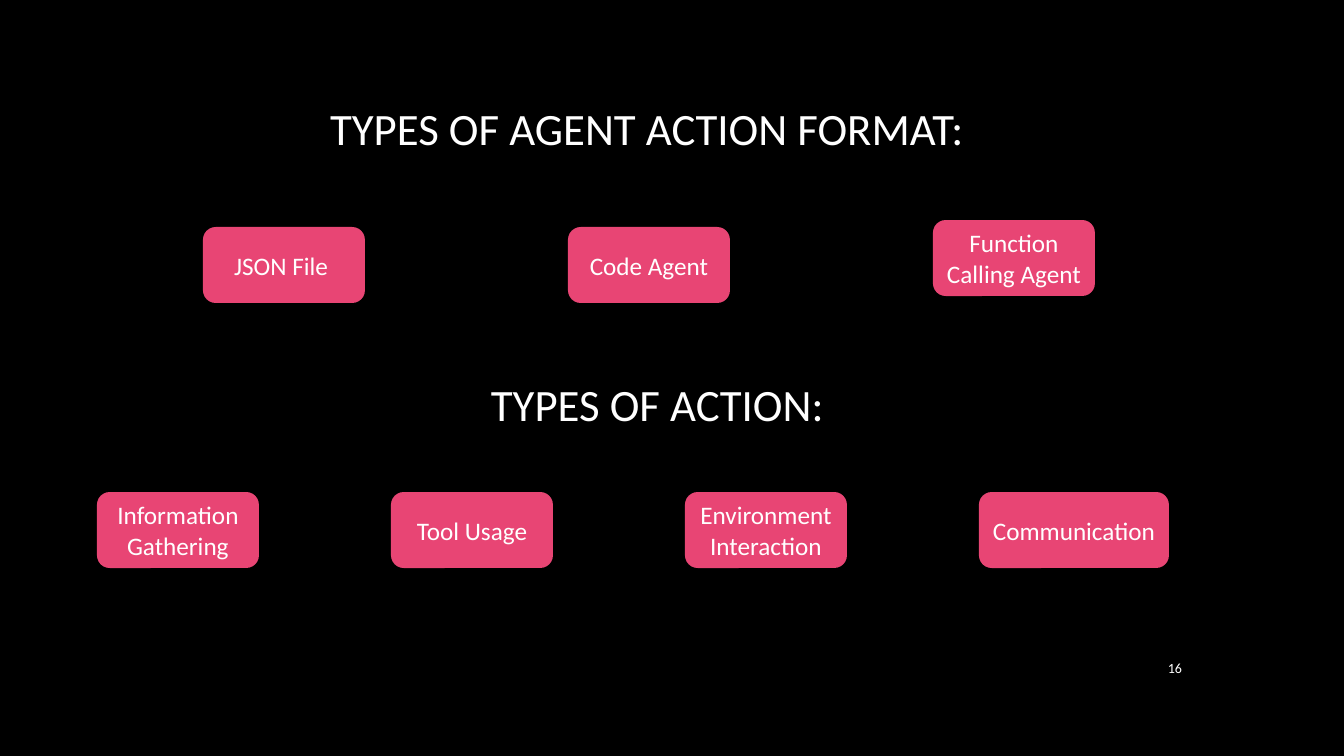
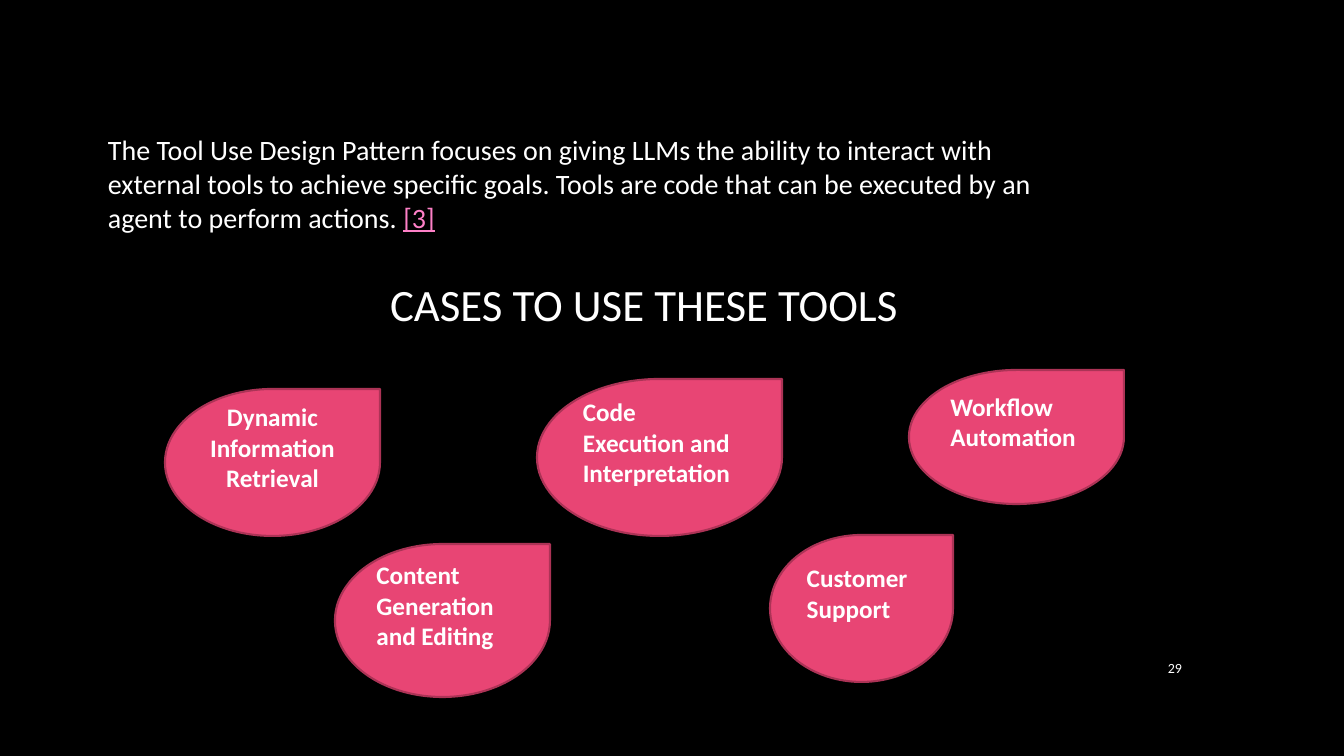
import pptx
import pptx.util
from pptx.dml.color import RGBColor
from pptx.enum.shapes import MSO_SHAPE
from pptx.enum.text import MSO_ANCHOR, MSO_AUTO_SIZE, PP_ALIGN

# Shared style
SLIDE_WIDTH, SLIDE_HEIGHT = 1344, 756
EMU_PER_PX = 12192000 / SLIDE_WIDTH
FONT = "Calibri"
BLACK = RGBColor(0x00, 0x00, 0x00)
WHITE = RGBColor(0xFF, 0xFF, 0xFF)
PINK = RGBColor(0xE8, 0x45, 0x74)
DARK_PINK = RGBColor(0xAC, 0x33, 0x56)
LINK_PINK = RGBColor(0xFE, 0x80, 0xC7)
TITLE_ONLY = 5
HEADING_SIZE, HEADING_HEIGHT = 32, 65

# Rows of boxes on the first slide
BOX_WIDTH, BOX_HEIGHT = 162, 76
FORMAT_LEFT, FORMAT_STEP = 203, 365
FORMATS = [("JSON File ", 227), ("Code Agent", 227), ("Function Calling Agent", 220)]
ACTION_LEFT, ACTION_STEP, ACTION_TOP = 97, 294, 492
ACTIONS = [("Information Gathering", BOX_WIDTH), ("Tool Usage", BOX_WIDTH),
           ("Environment Interaction", BOX_WIDTH), ("Communication", 190)]

# Teardrops on the second slide: text, alignment, left, top, width, height
CASES = [
    ("Dynamic Information Retrieval", PP_ALIGN.CENTER, 165, 389, 215, 147),
    ("Code Execution and Interpretation", PP_ALIGN.LEFT, 537, 379, 245, 157),
    ("Workflow Automation", PP_ALIGN.LEFT, 909, 370, 215, 134),
    ("Content Generation and Editing", PP_ALIGN.LEFT, 335, 544, 215, 153),
    ("Customer Support", PP_ALIGN.LEFT, 770, 535, 183, 147),
]
CASE_BOTTOM_INSET = 36


def px(length):
    return pptx.util.Emu(round(length * EMU_PER_PX))


def place(item, left, top, width, height):
    item.left, item.top, item.width, item.height = map(px, (left, top, width, height))


def write(item, text, size, align=PP_ALIGN.LEFT, anchor=MSO_ANCHOR.TOP, bold=False):
    frame = item.text_frame
    frame.text = text
    frame.word_wrap = True
    frame.auto_size = MSO_AUTO_SIZE.NONE
    frame.vertical_anchor = anchor
    para = frame.paragraphs[0]
    para.alignment = align
    for span in para.runs:
        style_span(span, size, WHITE, bold)
    return para


def style_span(span, size, color, bold=False):
    span.font.name = FONT
    span.font.size = pptx.util.Pt(size)
    span.font.bold = bold
    span.font.color.rgb = color


def add_page(deck, title, left, top, width, number):
    page = deck.slides.add_slide(deck.slide_layouts[TITLE_ONLY])
    place(page.shapes.title, left, top, width, HEADING_HEIGHT)
    write(page.shapes.title, title, HEADING_SIZE)
    add_text(page, number, 10, 1132, 647, 60, 41, PP_ALIGN.RIGHT, MSO_ANCHOR.MIDDLE)
    return page


def add_text(page, text, size, left, top, width, height,
             align=PP_ALIGN.LEFT, anchor=MSO_ANCHOR.TOP):
    box = page.shapes.add_textbox(*map(px, (left, top, width, height)))
    return write(box, text, size, align, anchor)


def add_label(page, kind, text, left, top, width, height,
              align=PP_ALIGN.CENTER, bold=False):
    label = page.shapes.add_shape(kind, *map(px, (left, top, width, height)))
    label.shadow.inherit = False
    label.fill.solid()
    label.fill.fore_color.rgb = PINK
    label.line.fill.background()
    write(label, text, 18, align, MSO_ANCHOR.MIDDLE, bold)
    return label


def add_case(page, text, align, left, top, width, height):
    drop = add_label(page, MSO_SHAPE.TEAR, text, left, top, width, height, align, True)
    drop.line.color.rgb = DARK_PINK
    drop.line.width = pptx.util.Pt(1.5)
    drop.text_frame.margin_bottom = px(CASE_BOTTOM_INSET)


def build_actions(deck):
    page = add_page(deck, "TYPES OF AGENT ACTION FORMAT:", 320, 96, 671, "16")
    box_kind = MSO_SHAPE.FLOWCHART_ALTERNATE_PROCESS
    for index, (text, top) in enumerate(FORMATS):
        add_label(page, box_kind, text, FORMAT_LEFT + index * FORMAT_STEP, top,
                  BOX_WIDTH, BOX_HEIGHT)
    add_text(page, "TYPES OF ACTION:", HEADING_SIZE, 481, 372, 498, HEADING_HEIGHT)
    for index, (text, width) in enumerate(ACTIONS):
        add_label(page, box_kind, text, ACTION_LEFT + index * ACTION_STEP, ACTION_TOP,
                  width, BOX_HEIGHT)


def build_tools(deck):
    page = add_page(deck, "CASES TO USE THESE TOOLS", 380, 272, 537, "29")
    para = add_text(
        page,
        "The Tool Use Design Pattern focuses on giving LLMs the ability to interact with "
        "external tools to achieve specific goals. Tools are code that can be executed "
        "by an agent to perform actions. ",
        20, 98, 128, 959, 112)
    # Reference mark
    span = para.add_run()
    span.text = "[3]"
    style_span(span, 20, LINK_PINK)
    span.font.underline = True
    for case in CASES:
        add_case(page, *case)


def main():
    deck = pptx.Presentation()
    deck.slide_width, deck.slide_height = px(SLIDE_WIDTH), px(SLIDE_HEIGHT)
    backdrop = deck.slide_master.background.fill
    backdrop.solid()
    backdrop.fore_color.rgb = BLACK
    build_actions(deck)
    build_tools(deck)
    deck.save("out.pptx")


if __name__ == "__main__":
    main()
